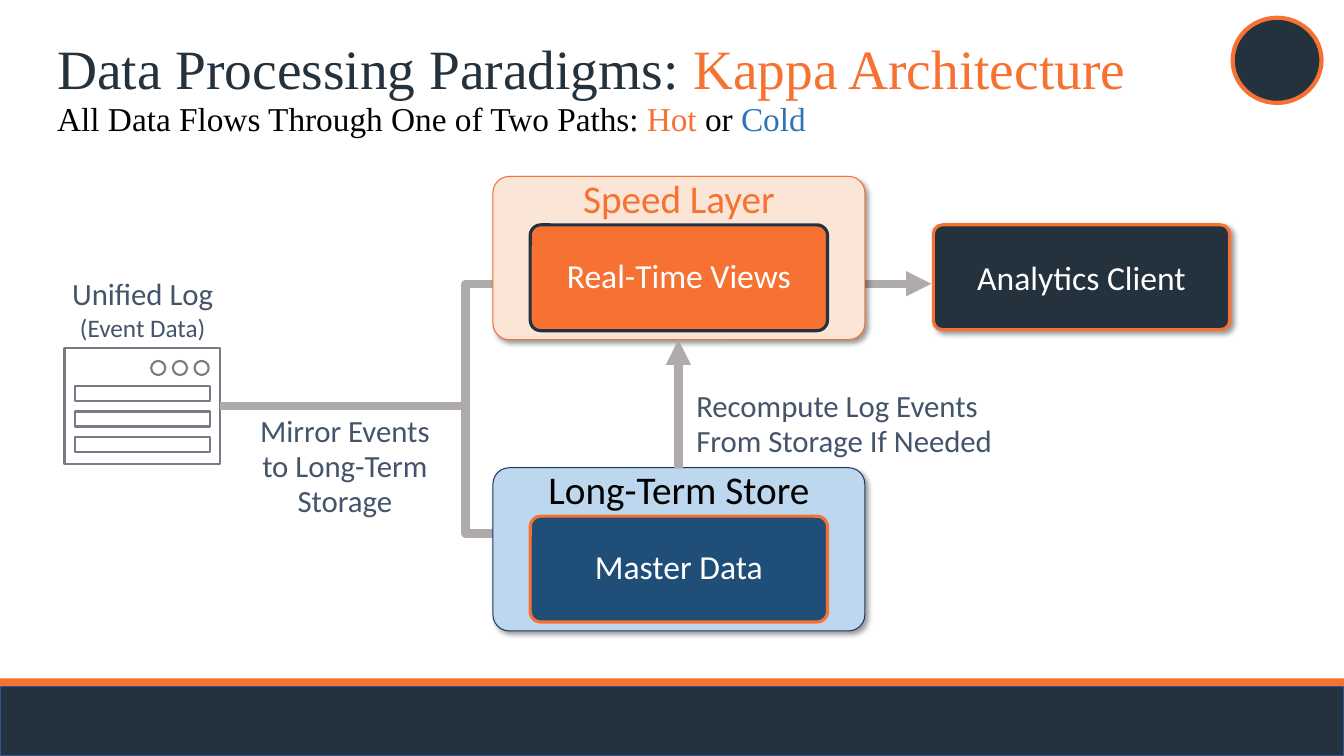
"""Build a slide that explains the Kappa architecture for data processing."""
from lxml.etree import SubElement
from pptx import Presentation
from pptx.dml.color import RGBColor
from pptx.enum.shapes import MSO_CONNECTOR, MSO_SHAPE
from pptx.enum.text import MSO_ANCHOR, PP_ALIGN
from pptx.oxml.ns import qn
from pptx.util import Pt

NAVY, ORANGE, SLATE, GREY, WHITE = "24323E", "F67132", "44546A", "AFABAB", "FFFFFF"
OUTLINE = "7A7A87"
SERIF, SANS = "Times New Roman", "Calibri"

presentation = Presentation()
presentation.slide_width, presentation.slide_height = Pt(960), Pt(540)
slide = presentation.slides.add_slide(presentation.slide_layouts[6])
shapes = slide.shapes


def block(preset, box, fill, line=None, weight=1, radius=None):
    """Add a filled preset shape, with an outline if a line colour is given."""
    shape = shapes.add_shape(preset, *map(Pt, box))
    shape.shadow.inherit = False
    shape.fill.solid()
    shape.fill.fore_color.rgb = RGBColor.from_string(fill)
    if line:
        shape.line.color.rgb = RGBColor.from_string(line)
        shape.line.width = Pt(weight)
    else:
        shape.line.fill.background()
    if radius:
        shape.adjustments[0] = radius
    return shape


def write(shape, paragraphs, font=SANS, anchor=MSO_ANCHOR.TOP, inset=(7.2, 3.6), **layout):
    """Fill a shape with paragraphs, each a list of (text, size, colour) runs."""
    frame = shape.text_frame
    across, down = map(Pt, inset)
    frame_format = {
        "word_wrap": True, "vertical_anchor": anchor,
        "margin_left": across, "margin_right": across,
        "margin_top": down, "margin_bottom": down,
    }
    for name, value in frame_format.items():
        setattr(frame, name, value)
    for index, runs in enumerate(paragraphs):
        paragraph = frame.add_paragraph() if index else frame.paragraphs[0]
        for name, value in layout.items():
            setattr(paragraph, name, value)
        for text, size, colour in runs:
            for number, part in enumerate(text.split("\n")):
                if number:
                    paragraph.add_line_break()
                run = paragraph.add_run()
                run.text = part
                run.font.name, run.font.size = font, Pt(size)
                run.font.color.rgb = RGBColor.from_string(colour)


block(MSO_SHAPE.RECTANGLE, (0, 484.6, 960, 20), ORANGE)
block(MSO_SHAPE.RECTANGLE, (0, 490.2, 960, 49.8), NAVY, "325491")
block(MSO_SHAPE.OVAL, (880.5, 12.7, 63.5, 60.8), NAVY, ORANGE, 3)

title = shapes.add_textbox(Pt(33.8), Pt(28.8), Pt(808.6), Pt(44.6))
write(title, [[("Data Processing Paradigms: ", 39.6, NAVY), ("Kappa Architecture", 39.6, ORANGE)]],
      font=SERIF, anchor=MSO_ANCHOR.MIDDLE, line_spacing=0.9)

path_builder = shapes.build_freeform(Pt(589), Pt(381.2))
path_builder.add_line_segments(
    [(Pt(332.6), Pt(381.2)), (Pt(332.6), Pt(202.7)), (Pt(665.3), Pt(202.7))], close=False)
event_path = path_builder.convert_to_shape()
event_path.fill.background()
event_path.shadow.inherit = False

block(MSO_SHAPE.RECTANGLE, (46.1, 248.5, 110.9, 82.8), WHITE, OUTLINE, 1.5)
for row in range(3):
    block(MSO_SHAPE.OVAL, (108 + 15.5 * row, 257.8, 10.1, 10.1), WHITE, OUTLINE, 1.5)
    block(MSO_SHAPE.RECTANGLE, (53.3, 275.8 + 18.1 * row, 96.5, 10.8), WHITE, OUTLINE, 1.5)

raised = []
layers = [
    (334.1, "Long-Term Store", "000000", "BDD7EE", "203864", "Master Data", "1F4E79", ORANGE),
    (126, "Speed Layer", ORANGE, "FBE5D6", ORANGE, "Real-Time Views", ORANGE, NAVY),
]
for top, heading, heading_colour, tint, edge, content, core_fill, core_edge in layers:
    raised.append(block(MSO_SHAPE.ROUNDED_RECTANGLE, (352.1, top, 265.7, 116.6), tint, edge, 0.75, 0.1))
    layer_heading = shapes.add_textbox(Pt(352.1), Pt(top), Pt(265.7), Pt(34.6))
    write(layer_heading, [[(heading, 28, heading_colour)]], anchor=MSO_ANCHOR.MIDDLE,
          inset=(8.6, 8.6), alignment=PP_ALIGN.CENTER, line_spacing=0.9)
    core = block(MSO_SHAPE.ROUNDED_RECTANGLE, (378.7, top + 34.6, 212.4, 75.6),
                 core_fill, core_edge, 2.25, 0.1)
    write(core, [[(content, 24, WHITE)]], anchor=MSO_ANCHOR.MIDDLE,
          alignment=PP_ALIGN.CENTER, line_spacing=0.9)

client = block(MSO_SHAPE.ROUNDED_RECTANGLE, (666.7, 160.6, 211.7, 74.9), NAVY, ORANGE, 2.25, 0.086)
write(client, [[("Analytics Client", 24, WHITE)]], anchor=MSO_ANCHOR.MIDDLE,
      alignment=PP_ALIGN.CENTER)
raised.append(client)

for shape in raised:
    effects = shape.element.spPr.find(qn("a:effectLst"))
    shadow = SubElement(effects, qn("a:outerShdw"), blurRad=str(Pt(4)), dist=str(Pt(3)),
                        dir="2700000", algn="tl", rotWithShape="0")
    black = SubElement(shadow, qn("a:srgbClr"), val="000000")
    SubElement(black, qn("a:alpha"), val="40000")

log_feed = shapes.add_connector(MSO_CONNECTOR.STRAIGHT, Pt(157), Pt(290.2), Pt(332.6), Pt(290.2))
recompute = shapes.add_connector(MSO_CONNECTOR.STRAIGHT, Pt(484.6), Pt(334.1), Pt(484.6), Pt(242.6))
for flow in (event_path, log_feed, recompute):
    flow.line.color.rgb = RGBColor.from_string(GREY)
    flow.line.width = Pt(6)
    if flow is not log_feed:
        SubElement(flow.line._get_or_add_ln(), qn("a:tailEnd"), type="triangle")
    if flow is not event_path:
        SubElement(flow.element.spPr, qn("a:effectLst"))

captions = [
    ((38.9, 193, 126, 55.4), [[("Unified Log", 22, SLATE)], [("(Event Data)", 18, SLATE)]],
     {"alignment": PP_ALIGN.CENTER}),
    ((490.3, 274.3, 233.3, 57.6), [[("Recompute Log Events From Storage If Needed", 22, SLATE)]],
     {"line_spacing": Pt(25)}),
    ((167.8, 291.6, 157, 82.8), [[("Mirror Events\nto Long-Term\nStorage", 22, SLATE)]],
     {"alignment": PP_ALIGN.CENTER, "line_spacing": Pt(25)}),
    ((33.8, 74.2, 808.6, 28.8),
     [[("All Data Flows Through One of Two Paths: ", 23.8, "000000"), ("Hot", 23.8, ORANGE),
       (" or ", 23.8, "000000"), ("Cold", 23.8, "2E75B6")]],
     {"font": SERIF, "line_spacing": 0.7, "space_before": Pt(10)}),
]
for box, paragraphs, layout in captions:
    write(shapes.add_textbox(*map(Pt, box)), paragraphs, **layout)

presentation.save("out.pptx")
